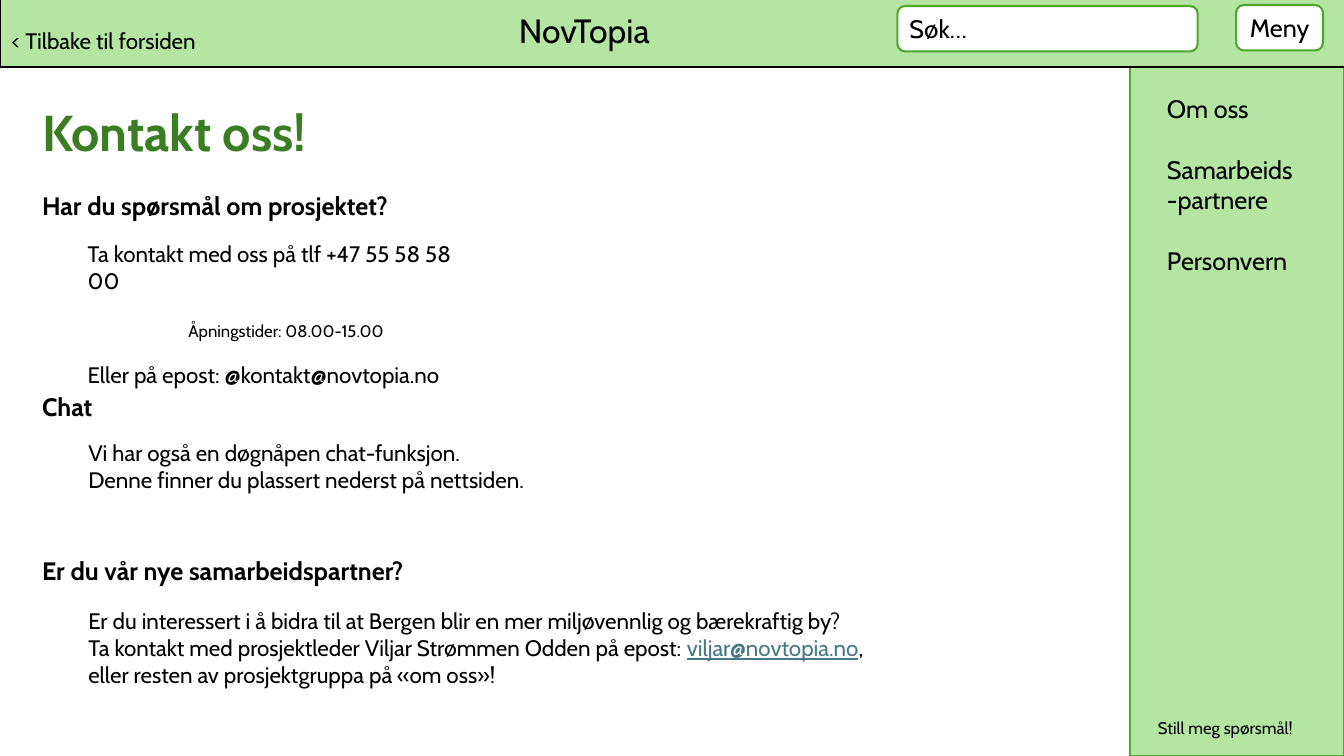
from pptx import Presentation
from pptx.dml.color import RGBColor
from pptx.enum.shapes import MSO_SHAPE
from pptx.enum.text import MSO_ANCHOR, PP_ALIGN
from pptx.util import Pt

FONT = "Cabin"
BLACK, WHITE, PALE = "000000", "FFFFFF", "B4E5A2"
GREEN, DARK, LINK = "4EA72E", "3B7D23", "467886"


def color(code):
    return RGBColor.from_string(code)


def write(par, text, size, tint=BLACK, bold=False, under=False):
    run = par.add_run()
    run.text = text
    font = run.font
    font.name, font.size, font.bold, font.underline = FONT, Pt(size), bold, under
    font.color.rgb = color(tint)


def label(slide, box, lines, size, gap=0, **style):
    """Add a text box with one paragraph per line and return its frame."""
    frame = slide.shapes.add_textbox(*map(Pt, box)).text_frame
    frame.word_wrap = True
    for num, line in enumerate(lines):
        par = frame.add_paragraph() if num else frame.paragraphs[0]
        if num and gap:
            par.space_before = Pt(gap)
        write(par, line, size, **style)
    return frame


def panel(slide, box, fill, line, kind=MSO_SHAPE.RECTANGLE):
    shape = slide.shapes.add_shape(kind, *map(Pt, box))
    shape.shadow.inherit = False
    shape.fill.solid()
    shape.fill.fore_color.rgb = color(fill)
    shape.line.color.rgb = color(line)
    shape.line.width = Pt(1.5)
    return shape


def button(slide, box, text, align):
    frame = panel(slide, box, WHITE, GREEN, MSO_SHAPE.ROUNDED_RECTANGLE).text_frame
    frame.word_wrap = True
    frame.vertical_anchor = MSO_ANCHOR.MIDDLE
    par = frame.paragraphs[0]
    par.alignment = align
    write(par, text, 18)


def sidebar(slide, box):
    x, y, w, h = box
    panel(slide, box, PALE, GREEN)
    label(slide, (x + 19.5, y + 63.4, 111, 138),
          ["Om oss", "Samarbeids-partnere", "Personvern"], 18, gap=21.6)
    label(slide, (x + 13, y + h - 31, w - 13, 22), ["Still meg spørsmål!"], 12)


def header(slide, box):
    x, y, w, h = box
    panel(slide, box, PALE, BLACK)
    base = y + h
    label(slide, (x + 1, base - 32, 223, 27), ["< Tilbake til forsiden"], 16)
    label(slide, (x + 363.6, base - 44.4, 180, 36), ["NovTopia"], 24)
    button(slide, (x + 641, base - 43.7, 214.5, 32.4), "Søk…", PP_ALIGN.LEFT)
    button(slide, (x + 883, base - 44.4, 62, 32.4), "Meny", PP_ALIGN.CENTER)


def contact(slide, box):
    x, y, w, h = box
    frame = label(slide, box, ["Ta kontakt med oss på tlf +47 55 58 58 00"], 16)
    hours = frame.add_paragraph()
    hours.space_before = Pt(19.3)
    hours._p.get_or_add_pPr().set("marL", str(Pt(72)))
    write(hours, "Åpningstider: 08.00-15.00", 12)
    mail = frame.add_paragraph()
    mail.space_before = Pt(14.5)
    write(mail, "Eller på epost: @kontakt@novtopia.no", 16)


def partner(slide, box):
    frame = label(slide, box, [
        "Er du interessert i å bidra til at Bergen blir en mer "
        "miljøvennlig og bærekraftig by?"], 16)
    mail = frame.add_paragraph()
    write(mail, "Ta kontakt med prosjektleder Viljar Strømmen Odden på epost: ", 16)
    write(mail, "viljar@novtopia.no", 16, LINK, under=True)
    write(mail, ",", 16)
    write(frame.add_paragraph(), "eller resten av prosjektgruppa på «om oss»!", 16)


def content(slide, box):
    x, y, w, h = box
    label(slide, (x, y, 430, 51), ["Kontakt oss!"], 36, tint=DARK, bold=True)
    heads = [(64, "Har du spørsmål om prosjektet?"), (207.4, "Chat"),
             (324.7, "Er du vår nye samarbeidspartner?")]
    for top, text in heads:
        label(slide, (x, y + top, 330, 29), [text], 18, bold=True)
    left = x + 33
    contact(slide, (left - 0.5, y + 99.4, 296.6, 140))
    label(slide, (left, y + 242, 337, 46),
          ["Vi har også en døgnåpen chat-funksjon.",
           "Denne finner du plassert nederst på nettsiden."], 16)
    partner(slide, (left, y + 362, 590, 90))


def main():
    deck = Presentation()
    deck.slide_width, deck.slide_height = Pt(960), Pt(540)
    slide = deck.slides.add_slide(deck.slide_layouts[6])
    sidebar(slide, (807, 0, 153, 540))
    header(slide, (0, -11, 970, 59))
    content(slide, (23, 68.4, 784, 471.6))
    deck.save("out.pptx")


if __name__ == "__main__":
    main()
